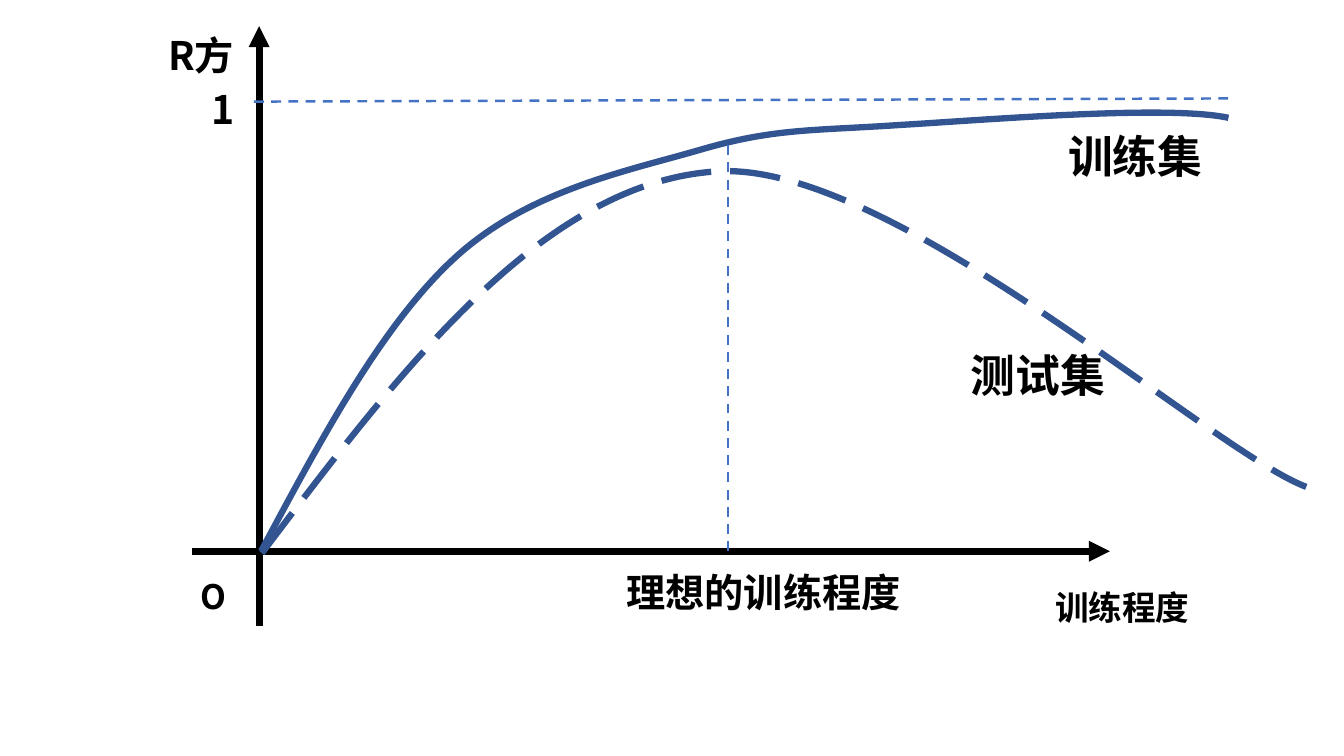
from lxml import etree
from pptx import Presentation
from pptx.dml.color import RGBColor
from pptx.enum.dml import MSO_LINE
from pptx.enum.shapes import MSO_CONNECTOR
from pptx.enum.text import MSO_AUTO_SIZE
from pptx.oxml.ns import qn
from pptx.util import Cm, Pt

STRAIGHT = MSO_CONNECTOR.STRAIGHT
DASH = MSO_LINE.DASH
LONG = MSO_LINE.LONG_DASH
FIT = MSO_AUTO_SIZE.SHAPE_TO_FIT_TEXT
FONT = "Noto Sans CJK SC"
COLORS = {"axis": "000000", "curve": "325491", "guide": "4472C4", "text": "000000"}
BASE = 13.89

prs = Presentation()
prs.slide_width, prs.slide_height = Cm(33.87), Cm(19.05)
slide = prs.slides.add_slide(prs.slide_layouts[6])
shapes = slide.shapes


def style(line, color, width, dash=None):
    line.color.rgb = RGBColor.from_string(COLORS[color])
    line.width = Pt(width)
    if dash:
        line.dash_style = dash


def draw(ends, color, width, dash=None):
    link = shapes.add_connector(STRAIGHT, *[Cm(v) for v in ends])
    style(link.line, color, width, dash)
    etree.SubElement(link._element.spPr, qn("a:effectLst"))
    return link


for ends in [(4.85, BASE, 27.97, BASE), (6.53, 15.77, 6.53, 0.66)]:
    axis = draw(ends, "axis", 5)
    etree.SubElement(axis.line._get_or_add_ln(), qn("a:tailEnd"), type="triangle")

train = [
    (6.58, 13.89), (8.1, 11.05), (9.63, 8.18), (11.46, 6.5),
    (13.31, 4.8), (15.77, 4.32), (17.63, 3.78),
    (19.51, 3.23), (20.45, 3.3), (22.68, 3.15),
    (24.89, 3.02), (29.44, 2.64), (30.96, 2.97),
]
test = [
    (6.6, 13.94), (10.13, 9.27), (13.69, 4.6), (18.06, 4.32),
    (22.45, 4.04), (30.45, 11.33), (32.92, 12.27),
]
for knots, dash in [(train, None), (test, LONG)]:
    knots = [(Cm(x), Cm(y)) for x, y in knots]
    pen = shapes.build_freeform(*knots[0])
    pen.add_line_segments(knots[3::3], close=False)
    curve = pen.convert_to_shape()
    for i, leg in enumerate(list(curve._element.iter(qn("a:lnTo")))):
        bend = etree.Element(qn("a:cubicBezTo"))
        for x, y in knots[3 * i + 1:3 * i + 3]:
            etree.SubElement(
                bend, qn("a:pt"), x=str(x - curve.left), y=str(y - curve.top)
            )
        bend.append(leg[0])
        leg.getparent().replace(leg, bend)
    curve.shadow.inherit = False
    curve.fill.background()
    style(curve.line, "curve", 4.5, dash)

for ends in [(6.4, 2.56, 31.12, 2.48), (18.34, BASE, 18.34, 3.48)]:
    draw(ends, "guide", 1.75, DASH)

labels = [
    ("O", 24, 4.8, 14.4, 1.42, 1.27),
    ("训练程度", 24, 26.34, 14.66, 5.18, 1.27),
    ("1", 28, 5.08, 2.03, 2.06, 1.45),
    ("理想的训练程度", 28, 15.54, 14.2, 7.65, 1.45),
    ("训练集", 32, 26.67, 3.12, 5.94, 1.63),
    ("测试集", 32, 24.21, 8.64, 5.94, 1.63),
    ("R方", 28, 3.99, 0.66, 4.04, 1.45),
]
for text, size, *place in labels:
    frame = shapes.add_textbox(*[Cm(v) for v in place]).text_frame
    frame.word_wrap = True
    frame.auto_size = FIT
    run = frame.paragraphs[0].add_run()
    run.text = text
    for name, value in {"name": FONT, "size": Pt(size), "bold": True}.items():
        setattr(run.font, name, value)
    run.font.color.rgb = RGBColor.from_string(COLORS["text"])
    etree.SubElement(run.font._element, qn("a:ea"), typeface=FONT)

prs.save("out.pptx")
